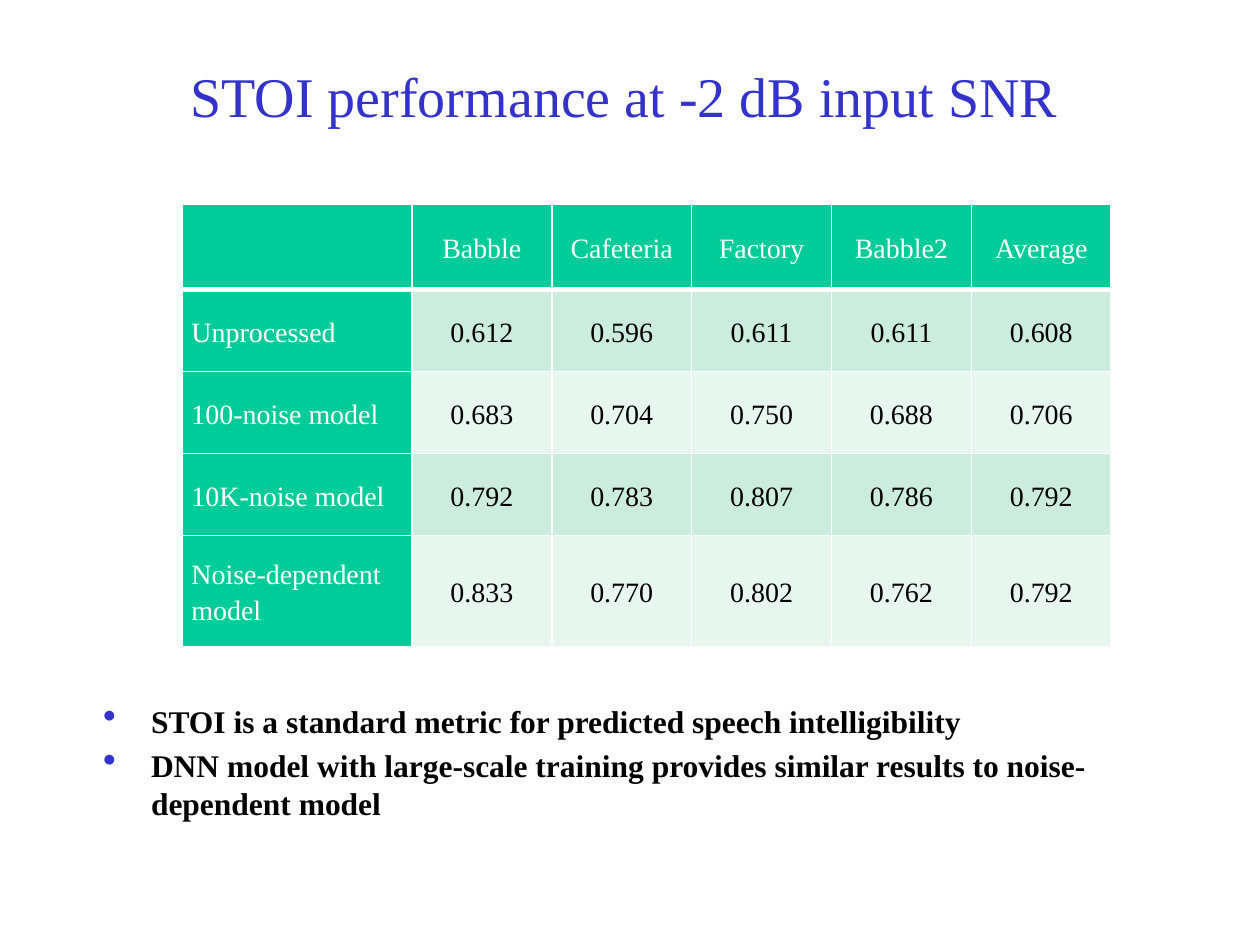
from lxml import etree
from pptx import Presentation
from pptx import util as u
from pptx.dml.color import RGBColor
from pptx.enum import text
from pptx.oxml import ns

# Content
HEADING = "STOI performance at -2 dB input SNR"
NOISES = ["", "Babble", "Cafeteria", "Factory", "Babble2", "Average"]
SCORES = [
    ("Unprocessed", "0.612", "0.596", "0.611", "0.611", "0.608"),
    ("100-noise model", "0.683", "0.704", "0.750", "0.688", "0.706"),
    ("10K-noise model", "0.792", "0.783", "0.807", "0.786", "0.792"),
    ("Noise-dependent model", "0.833", "0.770", "0.802", "0.762", "0.792"),
]
TAKEAWAYS = [
    "STOI is a standard metric for predicted speech intelligibility",
    "DNN model with large-scale training provides similar results to "
    "noise-dependent model",
]

THEME = {
    "font": "Times New Roman",
    "accent": "3333CC", "ink": "000000", "white": "FFFFFF",
    "header": "00CC99", "bands": ("CCECDE", "E7F6EF"),
    "heading_pt": 32, "table_pt": 16, "takeaway_pt": 18,
}
COLUMN_WIDTHS = [1.82] + [1.11] * 5
ROW_HEIGHTS = [0.68, 0.65, 0.65, 0.65, 0.88]
CELL_FORMAT = {
    "vertical_anchor": text.MSO_ANCHOR.MIDDLE,
    "margin_left": u.Inches(0.07), "margin_right": u.Inches(0.07),
    "margin_top": 0, "margin_bottom": 0,
}


def apply(target, values):
    for key, value in values.items():
        setattr(target, key, value)


def style(paragraph, size, color, bold=False):
    apply(paragraph.font, {"name": THEME["font"], "size": u.Pt(size), "bold": bold})
    paragraph.font.color.rgb = RGBColor.from_string(color)


def add_text_area(slide, left, top, width, height, anchor):
    frame = slide.shapes.add_textbox(
        *map(u.Inches, (left, top, width, height))).text_frame
    apply(frame, {"word_wrap": True, "vertical_anchor": anchor})
    return frame


def set_borders(cell, bottom_pt):
    properties = cell._tc.get_or_add_tcPr()
    widths = {"L": 1, "R": 1, "T": 1, "B": bottom_pt}
    for position, (side, width) in enumerate(widths.items()):
        line = etree.Element(ns.qn(f"a:ln{side}"), w=str(u.Pt(width)))
        fill = etree.SubElement(line, ns.qn("a:solidFill"))
        etree.SubElement(fill, ns.qn("a:srgbClr"), val=THEME["white"])
        properties.insert(position, line)


def add_bullet(paragraph):
    properties = paragraph._p.get_or_add_pPr()
    indent = u.Inches(0.38)
    properties.set("marL", str(indent))
    properties.set("indent", str(-indent))
    color = etree.SubElement(properties, ns.qn("a:buClr"))
    etree.SubElement(color, ns.qn("a:srgbClr"), val=THEME["accent"])
    etree.SubElement(properties, ns.qn("a:buSzPct"), val="120000")
    etree.SubElement(properties, ns.qn("a:buChar"), char="•")


def add_scores(slide):
    rows = [NOISES, *SCORES]
    table = slide.shapes.add_table(
        len(rows), len(NOISES), u.Inches(1.45), u.Inches(1.62),
        u.Inches(sum(COLUMN_WIDTHS)), u.Inches(sum(ROW_HEIGHTS))).table
    for column, width in zip(table.columns, COLUMN_WIDTHS):
        column.width = u.Inches(width)
    for row, height in zip(table.rows, ROW_HEIGHTS):
        row.height = u.Inches(height)

    for r, row in enumerate(rows):
        for c, label in enumerate(row):
            is_header = r == 0 or c == 0
            cell = table.cell(r, c)
            apply(cell, CELL_FORMAT)
            cell.fill.solid()
            cell.fill.fore_color.rgb = RGBColor.from_string(
                THEME["header"] if is_header else THEME["bands"][(r - 1) % 2])
            set_borders(cell, 3 if r == 0 else 1)
            paragraph = cell.text_frame.paragraphs[0]
            paragraph.text = label
            apply(paragraph, {
                "alignment": text.PP_ALIGN.CENTER if c else text.PP_ALIGN.LEFT,
                "line_spacing": 1.15})
            style(paragraph, THEME["table_pt"],
                  THEME["white"] if is_header else THEME["ink"])


def main():
    deck = Presentation()
    apply(deck, {"slide_width": u.Inches(10), "slide_height": u.Inches(7.5)})
    slide = deck.slides.add_slide(deck.slide_layouts[6])

    # Heading
    heading = add_text_area(slide, 0.58, 0.42, 8.75, 0.67,
                            text.MSO_ANCHOR.MIDDLE).paragraphs[0]
    apply(heading, {"text": HEADING, "alignment": text.PP_ALIGN.CENTER})
    style(heading, THEME["heading_pt"], THEME["accent"])

    # Score table
    add_scores(slide)

    # Takeaways
    takeaways = add_text_area(slide, 0.72, 5.52, 8.75, 1.11, text.MSO_ANCHOR.TOP)
    for i, takeaway in enumerate(TAKEAWAYS):
        paragraph = takeaways.add_paragraph() if i else takeaways.paragraphs[0]
        paragraph.text = takeaway
        add_bullet(paragraph)
        if i:
            paragraph.space_before = u.Pt(0.2 * THEME["takeaway_pt"])
        style(paragraph, THEME["takeaway_pt"], THEME["ink"], bold=True)

    deck.save("out.pptx")


if __name__ == "__main__":
    main()
